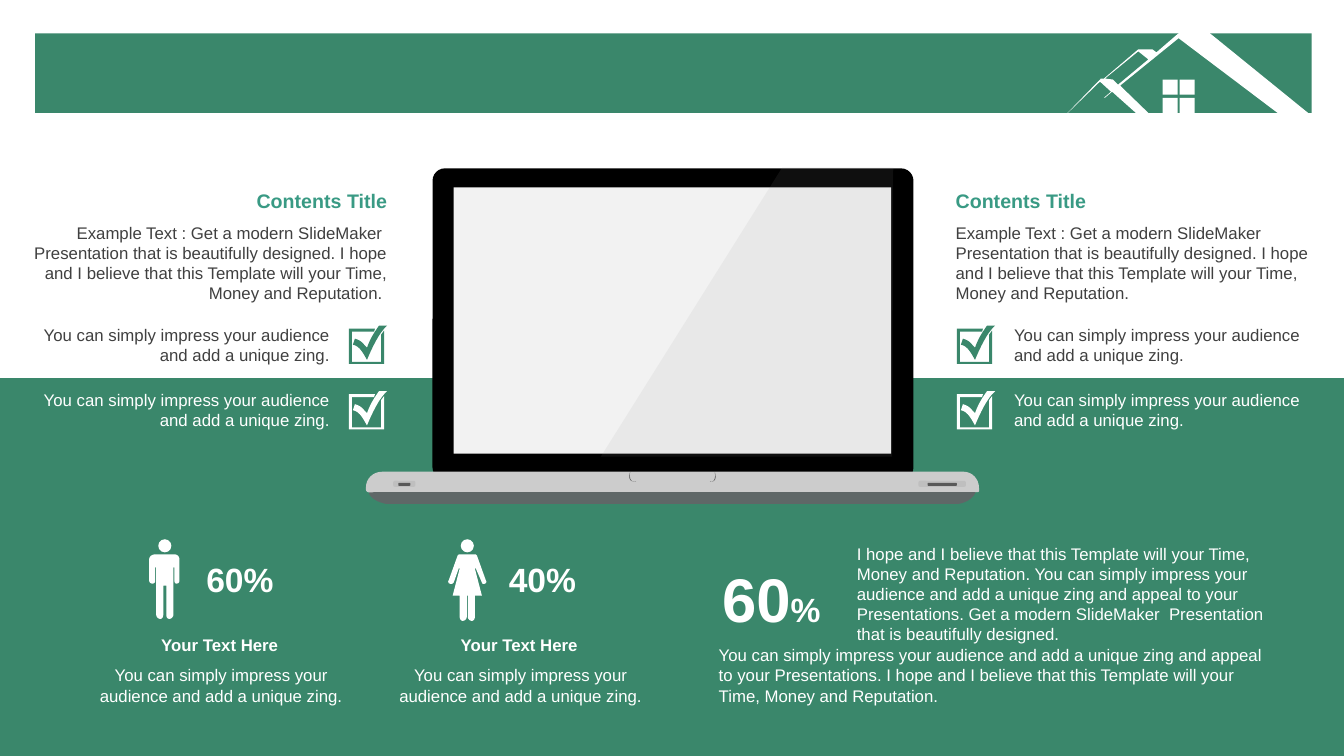
import lxml.etree
import pptx
import pptx.dml.color
import pptx.enum.shapes
import pptx.enum.text
import pptx.oxml.ns
import pptx.util

PX = 9144  # EMU in one px, 100 px to the inch
HUES = {"green": "3A876B", "teal": "399A84", "white": "FFFFFF", "text": "404040",
        "black": "000000", "screen": "F2F2F2", "glare": "999999", "metal": "CCCCCC",
        "under": "5F6767", "notch": "4D4D4D", "slot": "BFBFBF", "port": "595959"}
KIND = pptx.enum.shapes.MSO_SHAPE
ALIGN = pptx.enum.text.PP_ALIGN
ANCHOR = pptx.enum.text.MSO_ANCHOR

ZING = "You can simply impress your audience and add a unique zing"
HOPE = "I hope and I believe that this Template will your Time, Money and Reputation."
MODERN = "Get a modern SlideMaker  Presentation that is beautifully designed."

# Outlines: each step is a corner (2 numbers) or a curve (6 numbers).
ROOF = ("114 0, 145 0, 246 82, 216 82, 114 5, 56 52, 88 83, 76 83, 48 58, 41 64, 40 64,"
        "47 58, 36 48, 0 83, 1 82, 37 45, 40 45, 74 16, 88 16, 92 19")
GABLE = "74 18, 41 45, 49 46, 54 51, 84 26"
BASE = ("16 303, 593 303, 601 303 608 310 608 319, 608 322, 608 322 609 324 603 323,"
        "8 323, 5 324 0 324 0 321, 0 318, 0 310 7 303 16 303")
UNDER = ("587 335, 587 335 600 334 605 323, 605 320 602 318 599 318, 17 320, 9 320,"
         "6 320 3 322 3 325, 7 332 16 334 20 335")
GLARE = "413 1, 523 1, 522 288, 233 288"
NOTCH = ("262 303, 260 311 262 313 268 313, 267 313, 263 313 261 311 262 303",
         "346 303, 348 311 346 313 341 313, 342 313, 345 313 347 311 346 303")
FRAME = "0 3, 26 3, 25 6, 3 6, 3 36, 32 36, 32 9, 35 5, 35 38, 0 38"
TICK = ("38 0, 30 7 23 22 18 34, 15 29 11 20 4 19, 6 13, 13 15 14 18 18 22,"
        "21 14 23 10 30 0")
MAN = ("25 15, 6 15, 3 15 0 17 0 20, 0 41, 0 43 2 44 3 44, 5 44 6 43 6 41, 6 28, 7 28,"
       "7 75, 7 77 9 79 11 79, 13 79 14 77 14 75, 14 46, 17 46, 17 75, 17 77 18 79 20 79,"
       "22 79 24 77 24 75, 24 28, 25 28, 25 41, 25 43 26 44 27 44, 29 44 30 43 30 41,"
       "30 20, 30 17 28 15 25 15")
WOMAN = ("12 15, 25 15, 27 15 27 15 28 16, 37 41, 38 42 37 44 36 44, 35 45 33 44 33 43,"
         "27 29, 26 29, 33 56, 26 56, 26 77, 26 79 25 81 23 81, 21 81 19 79 19 77, 19 56,"
         "18 56, 18 77, 18 79 16 81 14 81, 12 81 11 79 11 77, 11 56, 4 56, 11 29, 10 29,"
         "5 43, 4 44 3 45 1 44, 0 44 -1 42 0 41, 9 16, 10 15 10 15 12 15")


def tint(hue):
    return pptx.dml.color.RGBColor.from_string(HUES[hue])


def paint(shape, hue):
    shape.shadow.inherit = False
    shape.fill.solid()
    shape.fill.fore_color.rgb = tint(hue)
    shape.line.fill.background()
    return shape


def block(slide, box, hue, kind=KIND.RECTANGLE):
    return paint(slide.shapes.add_shape(kind, *(n * PX for n in box)), hue)


def round_box(slide, box, hue, ratio):
    block(slide, box, hue, KIND.ROUNDED_RECTANGLE).adjustments[0] = ratio


def trace(route, left, top):
    """Turn a route into EMU points, with each curve cut into short lines."""
    spots = []
    for step in route.split(","):
        nums = [int(n) for n in step.split()]
        ends = list(zip(nums[::2], nums[1::2]))
        if len(ends) == 1:
            spots += ends
            continue
        hull = [spots[-1]] + ends
        for t in (i / 8 for i in range(1, 9)):
            parts = ((1 - t) ** 3, 3 * t * (1 - t) ** 2, 3 * t * t * (1 - t), t ** 3)
            spots.append(tuple(sum(w * p[axis] for w, p in zip(parts, hull))
                               for axis in (0, 1)))
    return [(round((left + x) * PX), round((top + y) * PX)) for x, y in spots]


def outline(slide, left, top, hue, *routes):
    pen = None
    for route in routes:
        spots = trace(route, left, top)
        if pen is None:
            pen = slide.shapes.build_freeform(*spots[0], scale=1.0)
        else:
            pen.move_to(*spots[0])
        pen.add_line_segments(spots[1:], close=True)
    return paint(pen.convert_to_shape(), hue)


def label(slide, box, runs, hue="white", align=ALIGN.LEFT, anchor=ANCHOR.TOP, bold=False):
    """Add a text box; runs are pairs of text and point size."""
    frame = slide.shapes.add_textbox(*(n * PX for n in box)).text_frame
    for name, value in {"word_wrap": True, "vertical_anchor": anchor}.items():
        setattr(frame, name, value)
    line = frame.paragraphs[0]
    line.alignment = align
    for text, size in runs:
        run = line.add_run()
        run.text = text
        look = {"name": "Arial", "size": pptx.util.Pt(size), "bold": bold}
        for name, value in look.items():
            setattr(run.font, name, value)
        run.font.color.rgb = tint(hue)


def house(slide, left, top):
    outline(slide, left, top, "white", ROOF, GABLE)
    for x in (98, 115):
        for y in (46, 64):
            block(slide, (left + x, top + y, 15, 15), "white")


def laptop(slide, left, top):
    outline(slide, left, top, "under", UNDER)
    round_box(slide, (left + 66, top + 2, 477, 309), "black", 0.04)
    block(slide, (left + 87, top + 21, 434, 264), "screen")
    outline(slide, left, top, "metal", BASE)
    outline(slide, left, top, "notch", *NOTCH)
    for x, width, inset in ((27, 22, 5), (548, 47, 9)):
        round_box(slide, (left + x, top + 312, width, 6), "slot", 0.28)
        round_box(slide, (left + x + inset, top + 314, width - 2 * inset, 3), "port", 0.28)
    glare = outline(slide, left, top, "glare", GLARE)
    for clr in glare._element.spPr.iter(pptx.oxml.ns.qn("a:srgbClr")):
        lxml.etree.SubElement(clr, pptx.oxml.ns.qn("a:alpha"), val="10000")


def pitch(slide, left, top, flip):
    """Place title, text and two ticked notes; flip mirrors them to the right edge."""
    width, note, icon = 383, 304, 38
    align = ALIGN.RIGHT if flip else ALIGN.LEFT
    note_x, icon_x = (width - 57 - note, width - 10 - icon) if flip else (58, 11)
    body = f"Example Text : {MODERN} {HOPE}" + (" " if flip else "")
    label(slide, (left, top, width, 34), [("Contents Title", 14)], "teal", align, bold=True)
    label(slide, (left, top + 33, width, 91), [(body, 12)], "text", align)
    for row, (mark, hue) in enumerate((("green", "text"), ("white", "white"))):
        y = top + 134 + 65 * row
        label(slide, (left + note_x, y, note, 50), [(ZING + ".", 12)], hue, align)
        outline(slide, left + icon_x, y + 6, mark, FRAME, TICK)


def person(slide, left, top, body, head, share, gap):
    mid = ALIGN.CENTER
    outline(slide, left + 65, top, "white", body)
    block(slide, (left + 65 + head, top, 13, 13), "white", KIND.OVAL)
    label(slide, (left + gap, top + 14, 102, 50), [(share, 24)], align=mid,
          anchor=ANCHOR.MIDDLE, bold=True)
    label(slide, (left, top + 90, 270, 30), [("Your Text Here", 12)], align=mid, bold=True)
    label(slide, (left, top + 120, 273, 50), [(ZING + ".", 12)], align=mid)


def result(slide, left, top):
    label(slide, (left, top + 17, 150, 84), [("60", 44), ("%", 24)], align=ALIGN.CENTER,
          anchor=ANCHOR.MIDDLE, bold=True)
    appeal = ZING + " and appeal to your Presentations."
    label(slide, (left + 13, top + 101, 566, 71), [(f"{appeal} {HOPE}", 12)])
    label(slide, (left + 150, top, 447, 111), [(f"{HOPE} {appeal} {MODERN}", 12)])


def main():
    deck = pptx.Presentation()
    deck.slide_width, deck.slide_height = 1333 * PX, 750 * PX
    slide = deck.slides.add_slide(deck.slide_layouts[6])
    block(slide, (0, 375, 1333, 375), "green")
    laptop(slide, 363, 165)
    block(slide, (35, 33, 1266, 79), "green")
    house(slide, 1055, 33)
    person(slide, 83, 535, MAN, 9, "60%", 104)
    person(slide, 380, 535, WOMAN, 12, "40%", 107)
    result(slide, 690, 534)
    pitch(slide, 11, 183, True)
    pitch(slide, 938, 183, False)
    deck.save("out.pptx")


if __name__ == "__main__":
    main()
